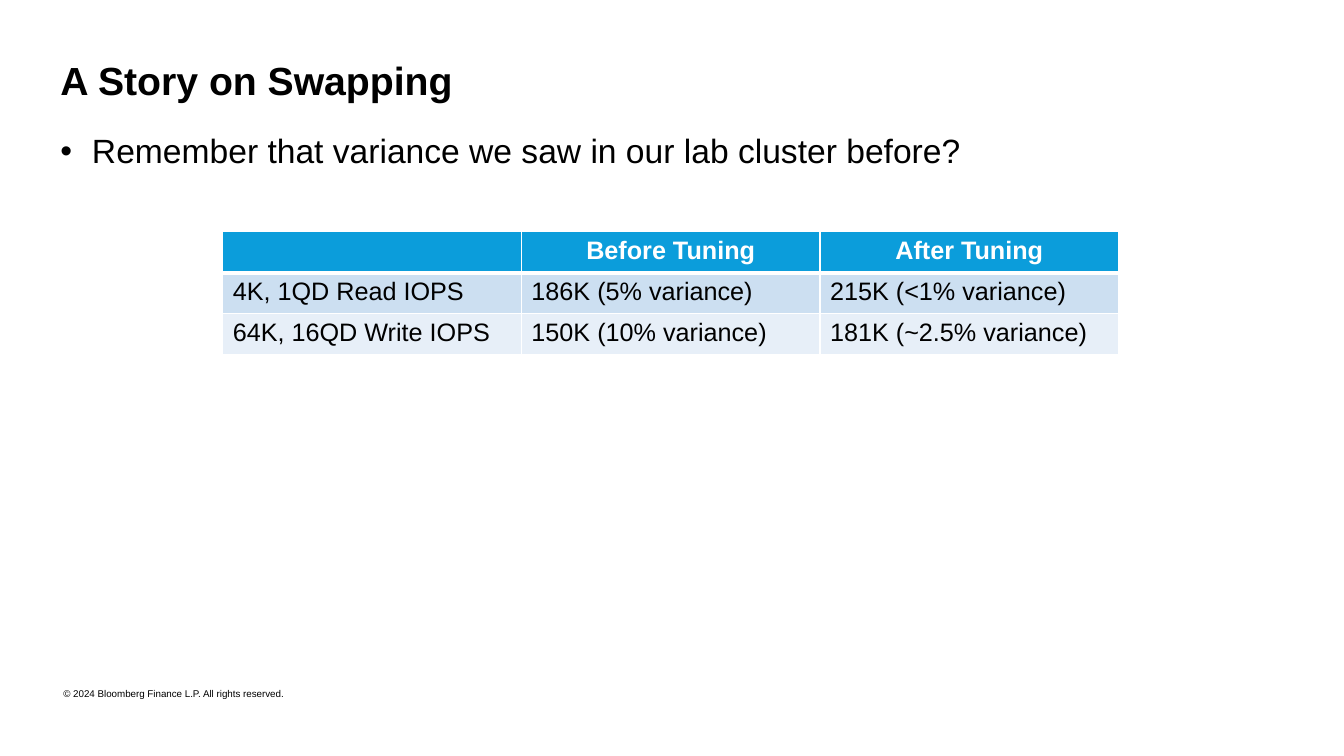
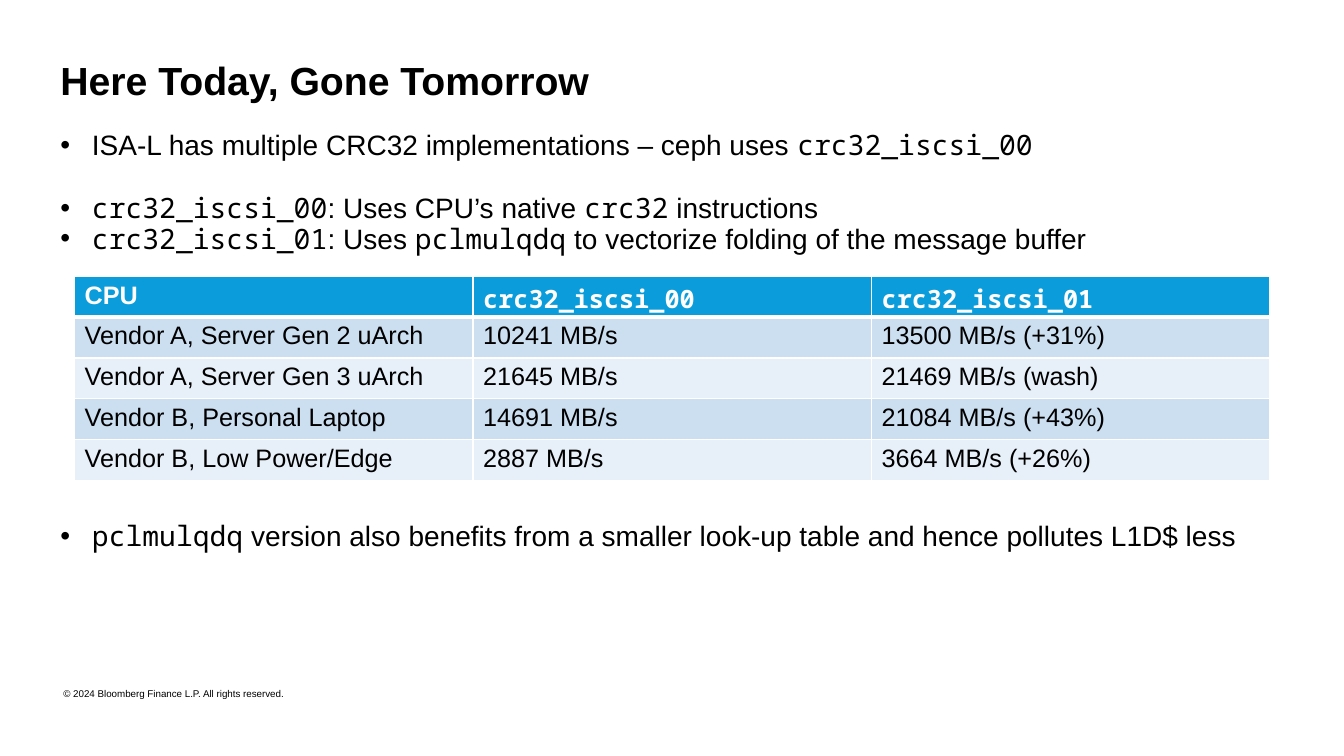
"""Build two slides on storage tuning and checksum speed."""
from lxml import etree
from pptx import Presentation
from pptx import util as u
from pptx.dml.color import RGBColor
from pptx.enum import text as t
from pptx.oxml.ns import qn

Pt = u.Pt
INK = {"black": "000000", "white": "FFFFFF", "head": "0B9DDB",
       "odd": "CCDFF1", "even": "E7EFF8"}
SANS, MONO = "Arial", "Noto Sans Mono"
LEFT = 43.2
INDENT = 22.5
ROW = 29.2
NOTE = "© 2024 Bloomberg Finance L.P. All rights reserved."


def write(par, words, size=20, color="black", bold=False, align=None,
          bullet=False, before=0, line=None):
    """Fill a paragraph; words between backticks are set in the code font."""
    if bullet:
        props = par._p.get_or_add_pPr()
        props.set("marL", str(Pt(INDENT)))
        props.set("indent", str(-Pt(INDENT)))
        etree.SubElement(props, qn("a:buFont"), typeface=SANS)
        etree.SubElement(props, qn("a:buChar"), char="•")
    par.alignment = align
    if before:
        par.space_before = Pt(before)
    if line:
        par.line_spacing = line
    for i, part in enumerate(words.split("`")):
        if part:
            run = par.add_run()
            run.text = part
            font = run.font
            font.name = MONO if i % 2 else SANS
            font.size, font.bold = Pt(size), bold
            font.color.rgb = RGBColor.from_string(INK[color])


def add_box(slide, x, y, w, h, inset=0, anchor=t.MSO_ANCHOR.TOP):
    """Add an empty wrapping text box and return its frame."""
    frame = slide.shapes.add_textbox(Pt(x), Pt(y), Pt(w), Pt(h)).text_frame
    frame.word_wrap = True
    frame.vertical_anchor = anchor
    frame.margin_left = frame.margin_right = Pt(inset)
    frame.margin_top = frame.margin_bottom = Pt(inset / 2)
    return frame


def add_page(deck, title):
    """Add a blank slide with the shared footer and title."""
    slide = deck.slides.add_slide(deck.slide_layouts[6])
    foot = add_box(slide, 38.2, 487.4, 261.4, 15.8, inset=7.2)
    write(foot.paragraphs[0], NOTE, size=7)
    head = add_box(slide, LEFT, 37.4, 741.6, 38.9, anchor=t.MSO_ANCHOR.MIDDLE)
    write(head.paragraphs[0], title, size=28, bold=True)
    return slide


def add_list(slide, top, width, items, size):
    """Add bullets given as pairs of text and space before."""
    frame = add_box(slide, LEFT, top, width, 340)
    for i, (words, gap) in enumerate(items):
        par = frame.add_paragraph() if i else frame.paragraphs[0]
        write(par, words, size=size, bullet=True, before=gap, line=0.9)


def edge(cell, base):
    """Draw white borders round a cell, with the given base width."""
    props = cell._tc.get_or_add_tcPr()
    for side, wide in zip("LRTB", (1, 1, 1, base)):
        line = etree.SubElement(props, qn("a:ln" + side), w=str(Pt(wide)))
        fill = etree.SubElement(line, qn("a:solidFill"))
        etree.SubElement(fill, qn("a:srgbClr"), val=INK["white"])


def add_grid(slide, x, y, width, rows, align=None):
    """Add a table with a header row and banded body rows."""
    count = len(rows[0])
    grid = slide.shapes.add_table(len(rows), count, Pt(x), Pt(y), Pt(width),
                                  Pt(ROW * len(rows))).table
    for r, row in enumerate(rows):
        top = r == 0
        band = "head" if top else "odd" if r % 2 else "even"
        for c, words in enumerate(row):
            cell = grid.cell(r, c)
            edge(cell, 3 if top else 1)
            cell.fill.solid()
            cell.fill.fore_color.rgb = RGBColor.from_string(INK[band])
            write(cell.text_frame.paragraphs[0], words, size=18, bold=top,
                  color="white" if top else "black",
                  align=align if top else None)


def main():
    """Build and save the deck."""
    deck = Presentation()
    deck.slide_width, deck.slide_height = Pt(960), Pt(540)

    swap = add_page(deck, "A Story on Swapping")
    add_list(swap, 96, 872.6, [
        ("Remember that variance we saw in our lab cluster before?", 0)], 24)
    add_grid(swap, 159.1, 165.6, 640, [
        ("", "Before Tuning", "After Tuning"),
        ("4K, 1QD Read IOPS", "186K (5% variance)", "215K (<1% variance)"),
        ("64K, 16QD Write IOPS", "150K (10% variance)",
         "181K (~2.5% variance)")], align=t.PP_ALIGN.CENTER)

    gone = add_page(deck, "Here Today, Gone Tomorrow")
    add_list(gone, 94, 853.9, [
        ("ISA-L has multiple CRC32 implementations – ceph uses "
         "`crc32_iscsi_00`", 0),
        ("`crc32_iscsi_00`: Uses CPU’s native `crc32` instructions", 23.5),
        ("`crc32_iscsi_01`: Uses `pclmulqdq` to vectorize folding of the "
         "message buffer", 0),
        ("`pclmulqdq` version also benefits from a smaller look-up table "
         "and hence pollutes L1D$ less", 191)], 20)
    add_grid(gone, 53.3, 197.3, 853.9, [
        ("CPU", "`crc32_iscsi_00`", "`crc32_iscsi_01`"),
        ("Vendor A, Server Gen 2 uArch", "10241 MB/s", "13500 MB/s (+31%)"),
        ("Vendor A, Server Gen 3 uArch", "21645 MB/s", "21469 MB/s (wash)"),
        ("Vendor B, Personal Laptop", "14691 MB/s", "21084 MB/s (+43%)"),
        ("Vendor B, Low Power/Edge", "2887 MB/s", "3664 MB/s (+26%)")])

    deck.save("out.pptx")


if __name__ == "__main__":
    main()
